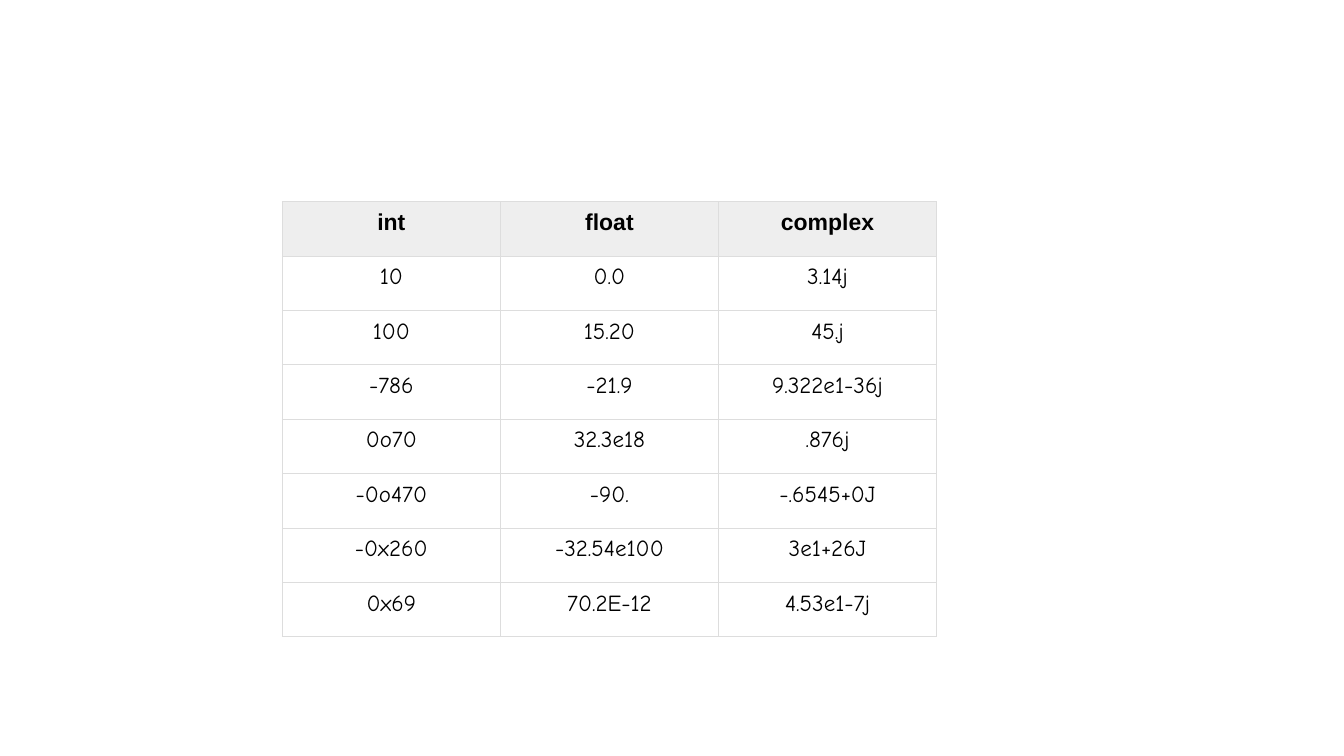
from dataclasses import dataclass

from lxml import etree
from pptx import Presentation
from pptx import util as u
from pptx.dml.color import RGBColor
from pptx.enum import text
from pptx.oxml import ns

BLACK = RGBColor(0x00, 0x00, 0x00)
HEADER_GREY = RGBColor(0xEE, 0xEE, 0xEE)
GRID_GREY = RGBColor(0xDD, 0xDD, 0xDD)

COLUMN_WIDTH = u.Inches(6.49 / 3)
ROW_HEIGHT = u.Inches(0.54)
CELL_MARGINS = {
    f"margin_{side}": u.Inches(0.08) for side in ("left", "right", "top", "bottom")
}


@dataclass(frozen=True)
class RowStyle:
    font: dict
    fill: RGBColor | None = None


HEADER = RowStyle({"name": "Arial", "size": u.Pt(16.4), "bold": True}, HEADER_GREY)
BODY = RowStyle({"name": "Comic Neue", "size": u.Pt(16.4), "bold": False})

NUMBER_TYPES = [
    ("int", "float", "complex"),
    ("10", "0.0", "3.14j"),
    ("100", "15.20", "45.j"),
    ("-786", "-21.9", "9.322e1-36j"),
    ("0o70", "32.3e18", ".876j"),
    ("-0o470", "-90.", "-.6545+0J"),
    ("-0x260", "-32.54e100", "3e1+26J"),
    ("0x69", "70.2E-12", "4.53e1-7j"),
]


def set_all(target, values: dict) -> None:
    for attribute, value in values.items():
        setattr(target, attribute, value)


def add_borders(cell) -> None:
    properties = cell._tc.get_or_add_tcPr()
    for edge in ("lnL", "lnR", "lnT", "lnB"):
        line = etree.SubElement(properties, ns.qn(f"a:{edge}"), w=str(u.Pt(0.75)))
        fill = etree.SubElement(line, ns.qn("a:solidFill"))
        etree.SubElement(fill, ns.qn("a:srgbClr"), val=str(GRID_GREY))


def write_cell(cell, literal: str, style: RowStyle) -> None:
    set_all(cell, CELL_MARGINS)
    add_borders(cell)
    if style.fill is None:
        cell.fill.background()
    else:
        cell.fill.solid()
        cell.fill.fore_color.rgb = style.fill
    paragraph = cell.text_frame.paragraphs[0]
    paragraph.alignment = text.PP_ALIGN.CENTER
    run = paragraph.add_run()
    run.text = literal
    set_all(run.font, style.font)
    run.font.color.rgb = BLACK


presentation = Presentation()
set_all(presentation, {"slide_width": u.Inches(13.33), "slide_height": u.Inches(7.5)})
slide = presentation.slides.add_slide(presentation.slide_layouts[6])

# Table of numeric literals by type
row_count, column_count = len(NUMBER_TYPES), len(NUMBER_TYPES[0])
literals = slide.shapes.add_table(
    row_count, column_count, u.Inches(2.8), u.Inches(2),
    COLUMN_WIDTH * column_count, ROW_HEIGHT * row_count,
).table
set_all(literals, {"first_row": False, "horz_banding": False})

# Header row, then the examples
for row_index, examples in enumerate(NUMBER_TYPES):
    row_style = BODY if row_index else HEADER
    for column_index, example in enumerate(examples):
        write_cell(literals.cell(row_index, column_index), example, row_style)

presentation.save("out.pptx")
